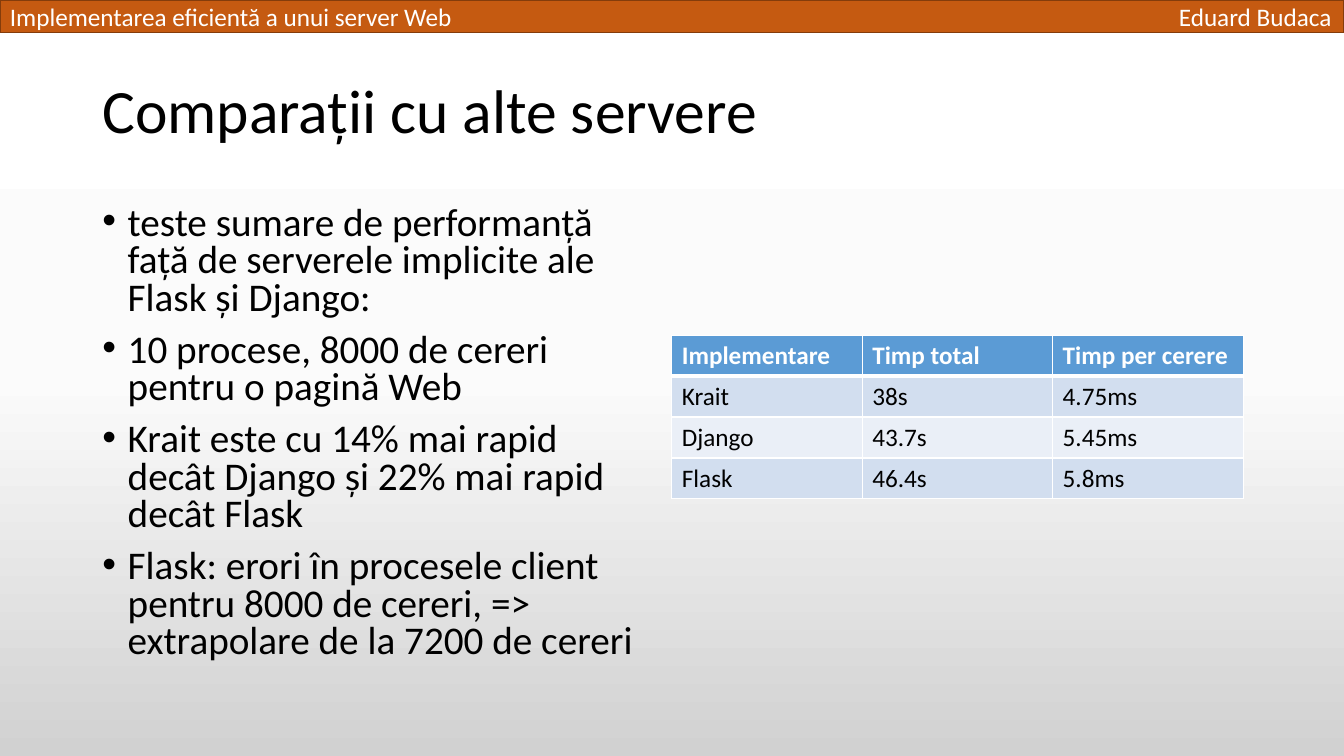
from copy import deepcopy
from dataclasses import dataclass

from lxml.etree import SubElement
from pptx import Presentation
from pptx.dml.color import RGBColor
from pptx.enum.shapes import MSO_SHAPE
from pptx.enum.text import MSO_ANCHOR, MSO_AUTO_SIZE
from pptx.oxml import parse_xml
from pptx.oxml.ns import nsdecls, qn
from pptx.util import Cm, Pt


@dataclass(frozen=True)
class Theme:
    font: str = "Calibri"
    ink: str = "000000"
    white: str = "FFFFFF"
    banner: str = "C55A11"
    banner_edge: str = "843C0B"
    header: str = "5B9BD5"
    bands: tuple = ("D2DEEF", "EAEFF7")
    backdrop: tuple = ((0, "FFFFFF"), (0.5, "FBFBFB"), (1, "D1D1D1"))
    title_size: int = 44
    body_size: int = 28
    small_size: int = 18


THEME = Theme()

FINDINGS = [
    "teste sumare de performanță față de serverele implicite ale Flask și Django:",
    "10 procese, 8000 de cereri pentru o pagină Web",
    "Krait este cu 14% mai rapid decât Django și 22% mai rapid decât Flask",
    "Flask: erori în procesele client pentru 8000 de cereri, => extrapolare de la 7200 de cereri",
]
TIMINGS = [
    ("Implementare", "Timp total", "Timp per cerere"),
    ("Krait", "38s", "4.75ms"),
    ("Django", "43.7s", "5.45ms"),
    ("Flask", "46.4s", "5.8ms"),
]


def write_text(frame, lines, size=THEME.small_size, color=THEME.ink, bold=False,
               line_spacing=None, space_before=None, bullet=None):
    for index, line in enumerate(lines):
        paragraph = frame.paragraphs[0] if index == 0 else frame.add_paragraph()
        paragraph.line_spacing = line_spacing
        paragraph.space_before = space_before
        if bullet:
            properties = paragraph._p.get_or_add_pPr()
            properties.set("marL", str(Cm(0.64)))
            properties.set("indent", str(Cm(-0.64)))
            SubElement(properties, qn("a:buFont")).set("typeface", "Arial")
            SubElement(properties, qn("a:buChar")).set("char", bullet)
        run = paragraph.add_run()
        run.text = line
        run.font.name = THEME.font
        run.font.size = Pt(size)
        run.font.bold = bold
        run.font.color.rgb = RGBColor.from_string(color)


def add_text(slide, lines, left, top, width, height, wrap=True,
             anchor=MSO_ANCHOR.TOP, **text_format):
    frame = slide.shapes.add_textbox(Cm(left), Cm(top), Cm(width), Cm(height)).text_frame
    frame.word_wrap = wrap
    frame.auto_size = MSO_AUTO_SIZE.NONE if wrap else MSO_AUTO_SIZE.SHAPE_TO_FIT_TEXT
    frame.vertical_anchor = anchor
    write_text(frame, lines, **text_format)


def paint_backdrop(slide):
    fill = slide.background.fill
    fill.gradient()
    fill.gradient_angle = 270
    stop_list = next(slide.element.iter(qn("a:gsLst")))
    stop_list.append(deepcopy(stop_list[0]))
    for stop, (position, color) in zip(fill.gradient_stops, THEME.backdrop):
        stop.position = position
        stop.color.rgb = RGBColor.from_string(color)


def add_banner(slide, width):
    banner = slide.shapes.add_shape(MSO_SHAPE.RECTANGLE, 0, 0, width, Cm(0.82))
    banner.shadow.inherit = False
    banner.fill.solid()
    banner.fill.fore_color.rgb = RGBColor.from_string(THEME.banner)
    banner.line.color.rgb = RGBColor.from_string(THEME.banner_edge)
    banner.line.width = Pt(1)


def set_borders(cell, top, bottom):
    widths = {"lnL": 1, "lnR": 1, "lnT": top, "lnB": bottom}
    properties = cell._tc.get_or_add_tcPr()
    for index, (side, width) in enumerate(widths.items()):
        properties.insert(index, parse_xml(
            f'<a:{side} {nsdecls("a")} w="{Pt(width)}"><a:solidFill>'
            f'<a:srgbClr val="{THEME.white}"/></a:solidFill></a:{side}>'))


def add_timings(slide, left, top, column_width, row_height):
    row_count, column_count = len(TIMINGS), len(TIMINGS[0])
    table = slide.shapes.add_table(
        row_count, column_count, Cm(left), Cm(top),
        Cm(column_width * column_count), Cm(row_height * row_count)).table
    for row_index, values in enumerate(TIMINGS):
        is_header = row_index == 0
        band = THEME.header if is_header else THEME.bands[(row_index - 1) % 2]
        for column_index, value in enumerate(values):
            cell = table.cell(row_index, column_index)
            cell.fill.solid()
            cell.fill.fore_color.rgb = RGBColor.from_string(band)
            set_borders(cell, top=3 if row_index == 1 else 1, bottom=3 if is_header else 1)
            write_text(cell.text_frame, [value], bold=is_header,
                       color=THEME.white if is_header else THEME.ink)


def main():
    deck = Presentation()
    deck.slide_width, deck.slide_height = Cm(33.87), Cm(19.05)
    slide = deck.slides.add_slide(deck.slide_layouts[6])

    paint_backdrop(slide)
    add_banner(slide, deck.slide_width)
    add_text(slide, ["Implementarea eficientă a unui server Web"],
             0, -0.1, 11.84, 1.03, wrap=False, color=THEME.white)
    add_text(slide, ["Eduard Budaca"],
             29.46, -0.1, 4.4, 1.03, wrap=False, color=THEME.white)
    add_text(slide, ["Comparații cu alte servere"], 2.33, 1.01, 29.21, 3.68,
             anchor=MSO_ANCHOR.MIDDLE, size=THEME.title_size, line_spacing=0.9)
    add_text(slide, FINDINGS, 2.33, 5.07, 14.4, 12.09, size=THEME.body_size,
             line_spacing=0.8, space_before=Pt(10), bullet="•")
    add_timings(slide, left=16.93, top=8.45, column_width=4.8, row_height=1.03)

    deck.save("out.pptx")


if __name__ == "__main__":
    main()
